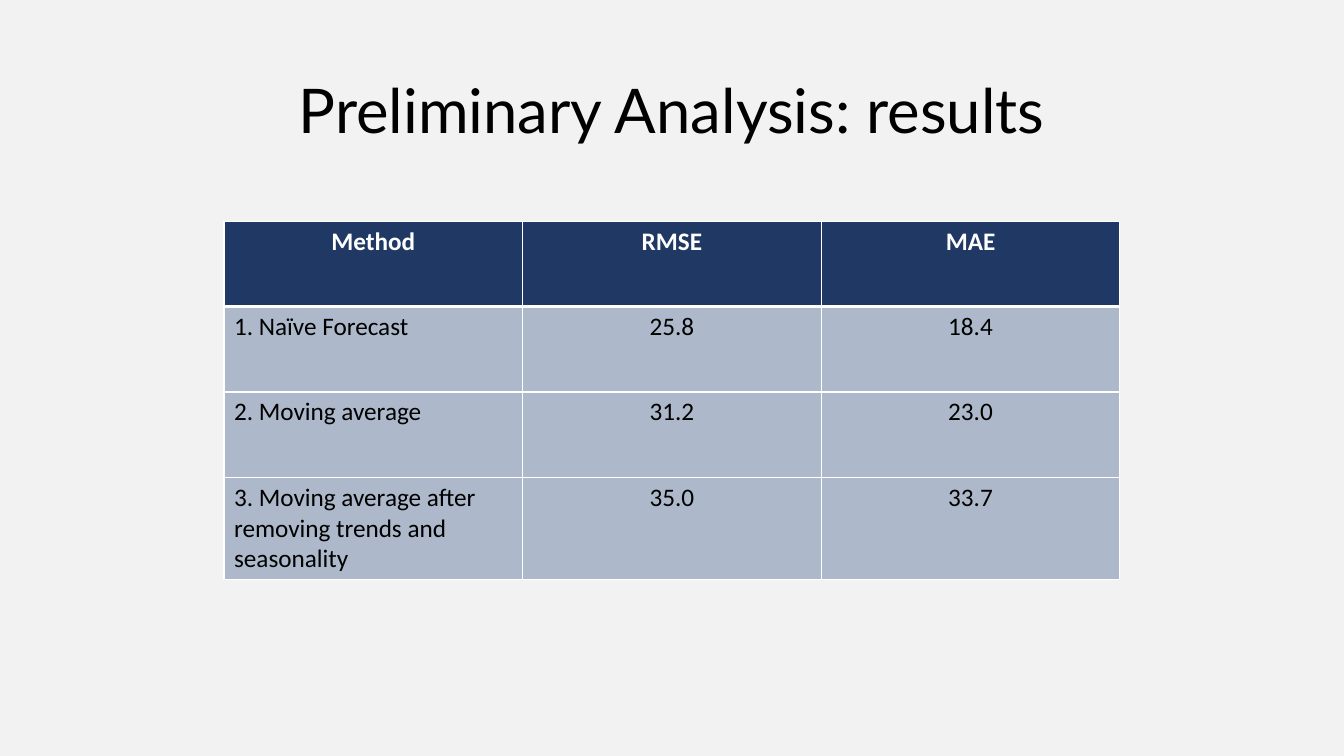
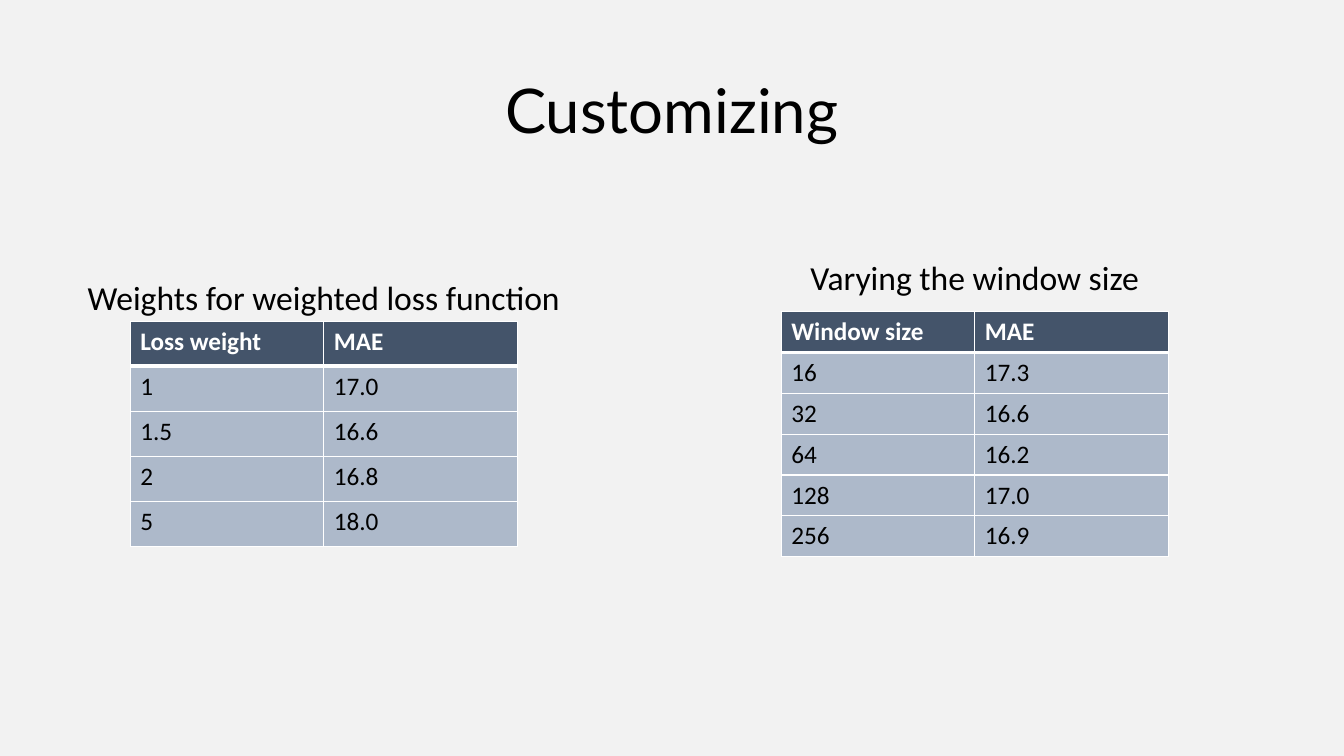
import pptx
import pptx.util
import pptx.dml.color
import pptx.enum.text
import pptx.oxml
import pptx.oxml.ns

Pt = pptx.util.Pt
RGBColor = pptx.dml.color.RGBColor
ALIGN = pptx.enum.text.PP_ALIGN
ANCHOR = pptx.enum.text.MSO_ANCHOR

BACKGROUND = RGBColor(0xF2, 0xF2, 0xF2)
BLACK = RGBColor(0x00, 0x00, 0x00)
WHITE = RGBColor(0xFF, 0xFF, 0xFF)
NAVY = RGBColor(0x20, 0x38, 0x64)
SLATE = RGBColor(0x44, 0x54, 0x6A)
PALE_BLUE = RGBColor(0xAD, 0xB9, 0xCA)

TITLE_BOX = {"left": Pt(66), "top": Pt(28.8), "width": Pt(828), "height": Pt(104.4)}
TITLE_FONT = {"name": "Lato", "size": Pt(44), "bold": False, "color": BLACK}
CAPTION_FONT = {"name": "Calibri", "size": Pt(24), "bold": False, "color": BLACK}
HEADER_FONT = {"name": "Calibri", "size": Pt(18), "bold": True, "color": WHITE}
BODY_FONT = {"name": "Calibri", "size": Pt(18), "bold": False, "color": BLACK}

CAPTION_WIDTH = 392.4
CAPTION_HEIGHT = 36
THIN, THICK = 1, 3

RESULTS = [
    ["Method", "RMSE", "MAE"],
    ["1. Naïve Forecast", "25.8", "18.4"],
    ["2. Moving average", "31.2", "23.0"],
    ["3. Moving average after removing trends and seasonality", "35.0", "33.7"],
]
LOSS_WEIGHTS = [
    ["Loss weight", "MAE"],
    ["1", "17.0"],
    ["1.5", "16.6"],
    ["2", "16.8"],
    ["5", "18.0"],
]
WINDOW_SIZES = [
    ["Window size", "MAE"],
    ["16", "17.3"],
    ["32", "16.6"],
    ["64", "16.2"],
    ["128", "17.0"],
    ["256", "16.9"],
]


def set_attributes(target, values):
    for name, value in values.items():
        if name == "color":
            target.color.rgb = value
        else:
            setattr(target, name, value)


def write_text(text_frame, text, font, alignment):
    paragraph = text_frame.paragraphs[0]
    paragraph.alignment = alignment
    run = paragraph.add_run()
    run.text = text
    set_attributes(run.font, font)
    return paragraph


def add_titled_slide(presentation, title):
    slide = presentation.slides.add_slide(presentation.slide_layouts.get_by_name("Title Only"))
    shape = slide.shapes.title
    set_attributes(shape, TITLE_BOX)
    set_attributes(shape.text_frame, {"vertical_anchor": ANCHOR.MIDDLE, "word_wrap": True})
    paragraph = write_text(shape.text_frame, title, TITLE_FONT, ALIGN.CENTER)
    paragraph.line_spacing = 0.9
    return slide


def add_caption(slide, text, center, top):
    left = center - CAPTION_WIDTH / 2
    shape = slide.shapes.add_textbox(Pt(left), Pt(top), Pt(CAPTION_WIDTH), Pt(CAPTION_HEIGHT))
    shape.text_frame.word_wrap = True
    write_text(shape.text_frame, text, CAPTION_FONT, ALIGN.CENTER)


def set_borders(cell, top, bottom):
    properties = cell._tc.get_or_add_tcPr()
    for side, width in {"L": THIN, "R": THIN, "T": top, "B": bottom}.items():
        properties.append(pptx.oxml.parse_xml(
            f'<a:ln{side} {pptx.oxml.ns.nsdecls("a")} w="{Pt(width)}">'
            f'<a:solidFill><a:srgbClr val="{WHITE}"/></a:solidFill></a:ln{side}>'
        ))


def add_table(slide, rows, left, top, column_width, row_height, header_fill, alignments):
    header_alignment, first_alignment, value_alignment = alignments
    column_count = len(rows[0])
    table = slide.shapes.add_table(
        len(rows), column_count, Pt(left), Pt(top),
        Pt(column_width * column_count), Pt(row_height * len(rows)),
    ).table
    table.horz_banding = False
    for column in table.columns:
        column.width = Pt(column_width)
    for row_index, values in enumerate(rows):
        table.rows[row_index].height = Pt(row_height)
        is_header = row_index == 0
        for column_index, value in enumerate(values):
            cell = table.cell(row_index, column_index)
            set_borders(cell, THICK if row_index == 1 else THIN, THICK if is_header else THIN)
            cell.fill.solid()
            cell.fill.fore_color.rgb = header_fill if is_header else PALE_BLUE
            body_alignment = first_alignment if column_index == 0 else value_alignment
            write_text(
                cell.text_frame, value,
                HEADER_FONT if is_header else BODY_FONT,
                header_alignment if is_header else body_alignment,
            )


def add_captioned_table(slide, caption, caption_top, rows, left, top, row_height):
    column_width = 138.25
    add_table(slide, rows, left, top, column_width, row_height, SLATE, [ALIGN.LEFT] * 3)
    add_caption(slide, caption, left + column_width, caption_top)


def main():
    presentation = pptx.Presentation()
    set_attributes(presentation, {"slide_width": Pt(960), "slide_height": Pt(540)})
    background = presentation.slide_master.background.fill
    background.solid()
    background.fore_color.rgb = BACKGROUND

    results = add_titled_slide(presentation, "Preliminary Analysis: results")
    add_table(results, RESULTS, 160, 158, 213.33, 61, NAVY,
              [ALIGN.CENTER, ALIGN.LEFT, ALIGN.CENTER])

    customizing = add_titled_slide(presentation, "Customizing")
    add_captioned_table(customizing, "Weights for weighted loss function", 194.4,
                        LOSS_WEIGHTS, 93, 229.5, 32.15)
    add_captioned_table(customizing, "Varying the window size", 180,
                        WINDOW_SIZES, 558, 222.5, 29.2)

    presentation.save("out.pptx")


main()
